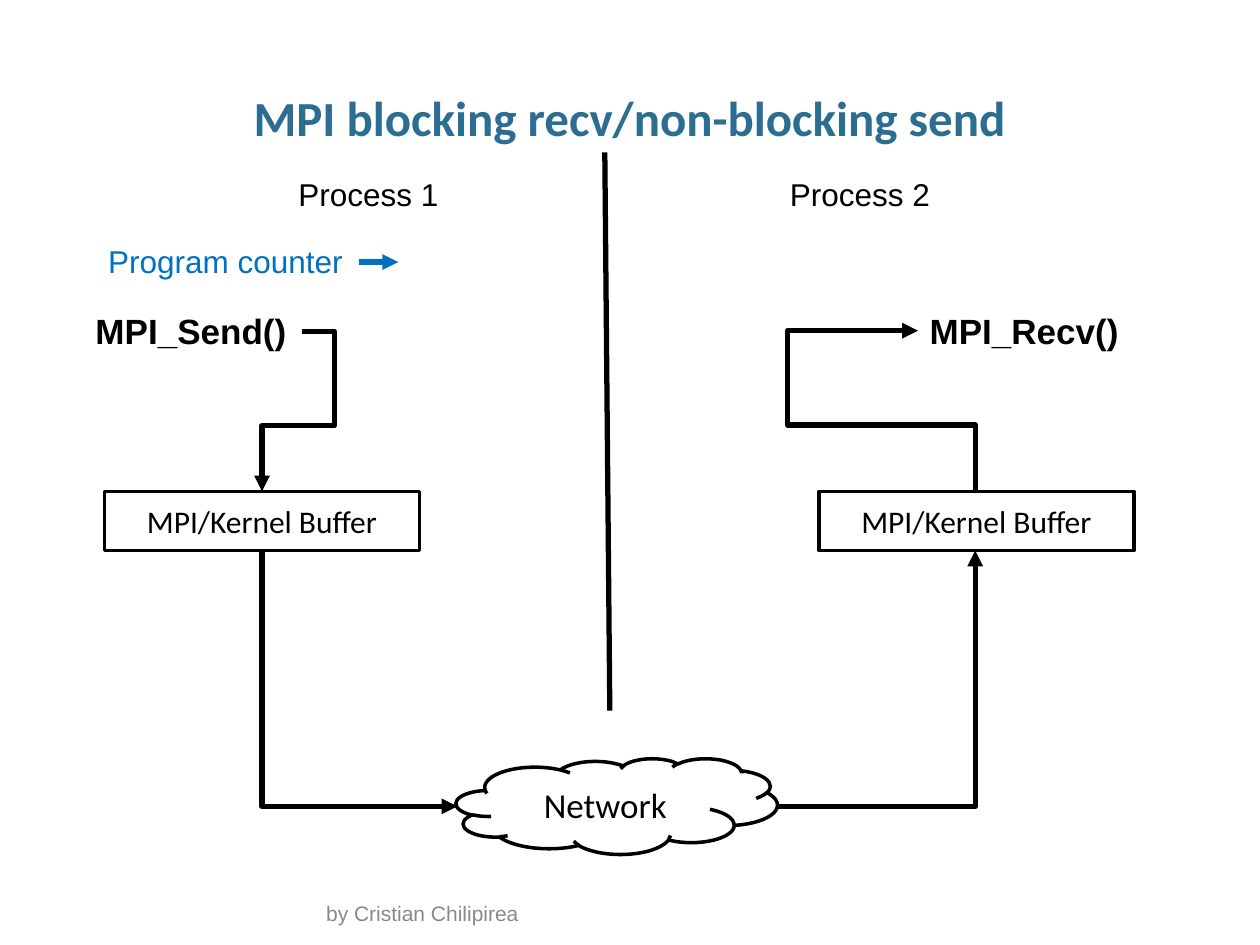
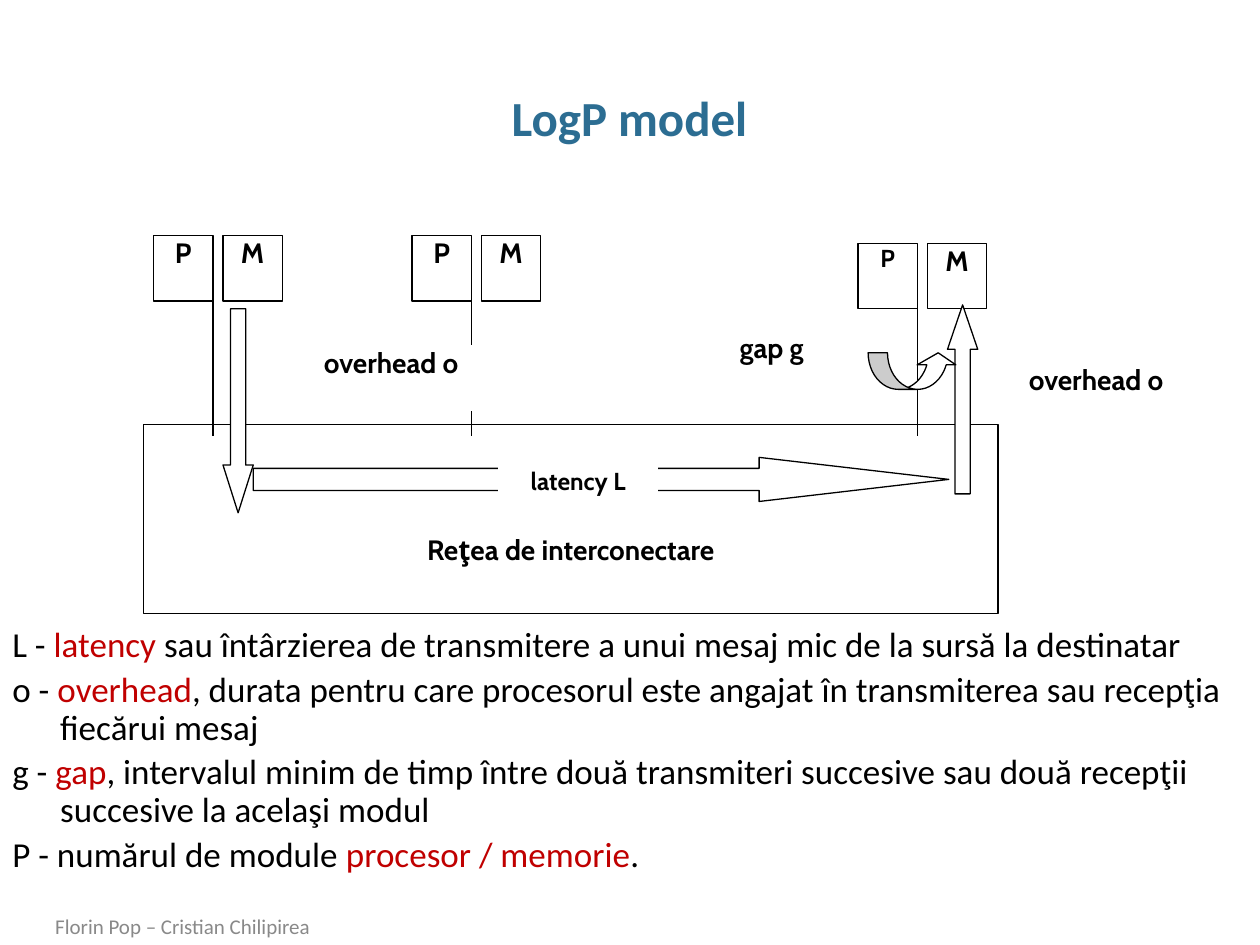
from dataclasses import dataclass

from lxml import etree
from pptx import Presentation
from pptx import util as u
from pptx.dml.color import RGBColor
from pptx.enum import shapes, text
from pptx.oxml import ns

Inches = u.Inches
Shape = shapes.MSO_SHAPE
Align = text.PP_ALIGN
Anchor = text.MSO_ANCHOR


@dataclass(frozen=True)
class Theme:
    ink: str = "000000"
    paper: str = "FFFFFF"
    title: str = "2C6D92"
    footer: str = "898989"
    counter: str = "0070C0"
    keyword: str = "C00000"
    body_font: str = "Calibri"
    label_font: str = "Arial"
    diagram_font: str = "Cabin"
    title_size: int = 28
    large: int = 20
    medium: int = 18
    diagram: int = 16
    small: int = 14
    footer_size: int = 12
    thick: float = 3
    border: float = 2
    thin: float = 0.75


THEME = Theme()


class Deck:
    def __init__(self, theme):
        self.theme = theme
        self.presentation = Presentation()
        self.presentation.slide_width = Inches(10)
        self.presentation.slide_height = Inches(7.5)
        self.slide = None

    def new_slide(self, title):
        self.slide = self.presentation.slides.add_slide(self.presentation.slide_layouts[6])
        theme = self.theme
        frame = self.text_box((0.34, 0.68, 9.31, 0.5), title, theme.title_size,
                              theme.body_font, theme.title, bold=True,
                              align=Align.CENTER, margins=(0, 0.05))
        frame.paragraphs[0].line_spacing = 0.95

    def style_runs(self, paragraph, size, font, color, bold=False):
        for run in paragraph.runs:
            run.font.size = u.Pt(size)
            run.font.name = font
            run.font.bold = bold
            run.font.color.rgb = RGBColor.from_string(color)

    def fill_text(self, frame, content, size, font, color, bold=False,
                  align=Align.LEFT, anchor=Anchor.TOP, wrap=True, margins=(0.1, 0.05)):
        """Write one paragraph; margins are (sides, top and bottom)."""
        frame.text = content
        frame.word_wrap = wrap
        frame.vertical_anchor = anchor
        frame.margin_left = frame.margin_right = Inches(margins[0])
        frame.margin_top = frame.margin_bottom = Inches(margins[1])
        frame.paragraphs[0].alignment = align
        self.style_runs(frame.paragraphs[0], size, font, color, bold)

    def text_box(self, box, content, size, font, color, **options):
        frame = self.slide.shapes.add_textbox(*map(Inches, box)).text_frame
        self.fill_text(frame, content, size, font, color, **options)
        return frame

    def label(self, box, content, size, color=THEME.ink, bold=False):
        self.text_box(box, content, size, self.theme.label_font, color, bold=bold, wrap=False)

    def footer(self, box, content, font):
        self.text_box(box, content, self.theme.footer_size, font, self.theme.footer,
                      anchor=Anchor.BOTTOM)

    def shape(self, kind, box, fill=THEME.paper, line=THEME.ink, width=THEME.thin,
              adjustments=()):
        shape = self.slide.shapes.add_shape(kind, *map(Inches, box))
        shape.shadow.inherit = False
        if fill:
            shape.fill.solid()
            shape.fill.fore_color.rgb = RGBColor.from_string(fill)
        else:
            shape.fill.background()
        shape.line.color.rgb = RGBColor.from_string(line)
        shape.line.width = u.Pt(width)
        for index, value in enumerate(adjustments):
            shape.adjustments[index] = value
        return shape

    def flow_node(self, kind, box, content, size):
        shape = self.shape(kind, box, fill=None, width=self.theme.border)
        self.fill_text(shape.text_frame, content, size, self.theme.body_font,
                       self.theme.ink, align=Align.CENTER, anchor=Anchor.MIDDLE)

    def diagram_box(self, box, content, size=THEME.diagram, line=THEME.ink,
                    align=Align.CENTER):
        shape = self.shape(Shape.RECTANGLE, box, line=line)
        self.fill_text(shape.text_frame, content, size, self.theme.diagram_font,
                       self.theme.ink, bold=True, align=align, margins=(0, 0))
        return shape

    def line(self, start, end, width=THEME.thin, color=THEME.ink, arrow=False,
             kind=shapes.MSO_CONNECTOR.STRAIGHT):
        connector = self.slide.shapes.add_connector(kind, *map(Inches, start + end))
        connector.line.color.rgb = RGBColor.from_string(color)
        connector.line.width = u.Pt(width)
        properties = connector._element.spPr
        if arrow:
            outline = properties.find(ns.qn("a:ln"))
            etree.SubElement(outline, ns.qn("a:tailEnd"), type="triangle")
        etree.SubElement(properties, ns.qn("a:effectLst"))
        return connector

    def bent_arrow(self, box, preset, flip, rotation=0, adjustments=()):
        """Elbow arrow given by its frame before rotation."""
        left, top, width, height = box
        connector = self.line((left, top), (left + width, top + height), self.theme.thick,
                              arrow=True, kind=shapes.MSO_CONNECTOR.ELBOW)
        properties = connector._element.spPr
        frame = properties.find(ns.qn("a:xfrm"))
        frame.set("rot", str(rotation * 60000))
        frame.set(flip, "1")
        geometry = properties.find(ns.qn("a:prstGeom"))
        geometry.set("prst", preset)
        guides = geometry.find(ns.qn("a:avLst"))
        for number, value in enumerate(adjustments, 1):
            etree.SubElement(guides, ns.qn("a:gd"), name=f"adj{number}",
                             fmla=f"val {round(value * 100000)}")

    def definitions(self, box, entries):
        """Hanging paragraphs made of (lead, keyword, rest)."""
        theme = self.theme
        frame = self.slide.shapes.add_textbox(*map(Inches, box)).text_frame
        frame.word_wrap = True
        for index, parts in enumerate(entries):
            paragraph = frame.add_paragraph() if index else frame.paragraphs[0]
            for part in parts:
                paragraph.add_run().text = part
            paragraph.line_spacing = 0.9
            paragraph.space_before = u.Pt(theme.large * 0.2)
            indent = paragraph._p.get_or_add_pPr()
            indent.set("marL", str(Inches(0.38)))
            indent.set("indent", str(Inches(-0.38)))
            self.style_runs(paragraph, theme.large, theme.body_font, theme.ink)
            paragraph.runs[1].font.color.rgb = RGBColor.from_string(theme.keyword)


def build_message_slide(deck):
    theme = deck.theme
    deck.new_slide("MPI blocking recv/non-blocking send")
    deck.footer((2.49, 7.16, 5.02, 0.24), "by Cristian Chilipirea", theme.label_font)
    deck.label((0.66, 2.41, 1.73, 0.44), "MPI_Send()", theme.large, bold=True)
    deck.label((7.28, 2.41, 1.71, 0.44), "MPI_Recv()", theme.large, bold=True)
    deck.line((4.84, 5.64), (4.8, 1.21), theme.thick)
    for number, left in enumerate((2.27, 6.17), 1):
        deck.label((left, 1.34, 1.32, 0.4), f"Process {number}", theme.medium)
    for left in (0.83, 6.5):
        deck.flow_node(Shape.RECTANGLE, (left, 3.9, 2.5, 0.47), "MPI/Kernel Buffer",
                       theme.medium)
    deck.flow_node(Shape.CLOUD, (3.62, 6.02, 2.55, 0.76), "Network", theme.large)

    deck.bent_arrow((2.08, 2.63, 0.32, 1.27), "bentConnector4", "flipH",
                    adjustments=(-0.79, 0.59))
    deck.bent_arrow((1.84, 4.61, 2.03, 1.55), "bentConnector2", "flipH", 270)
    deck.bent_arrow((6.16, 4.37, 1.58, 2.03), "bentConnector2", "flipV")
    deck.bent_arrow((6.88, 3.03, 1.27, 0.46), "bentConnector4", "flipV", 270, (0.41, 3.25))

    deck.line((2.85, 2.08), (3.16, 2.08), theme.thick, theme.counter, arrow=True)
    deck.label((0.76, 1.87, 2.08, 0.4), "Program counter", theme.medium, theme.counter)


def build_logp_slide(deck):
    theme = deck.theme
    deck.new_slide("LogP model")
    deck.footer((0.34, 7.22, 7.37, 0.28), "Florin Pop – Cristian Chilipirea", theme.body_font)

    modules = ((1.22, 1.87, theme.diagram), (3.27, 1.87, theme.diagram),
               (6.81, 1.93, theme.small))
    for left, top, processor_size in modules:
        deck.diagram_box((left, top, 0.47, 0.52), "P", processor_size)
        deck.diagram_box((left + 0.55, top, 0.47, 0.52), "M")
    network = deck.diagram_box((1.14, 3.37, 6.78, 1.5), "Reţea de interconectare")
    network.text_frame.margin_top = Inches(0.86)
    for left, top, _ in modules:
        deck.line((left + 0.47, top + 0.49), (left + 0.47, 3.46))

    deck.shape(Shape.DOWN_ARROW, (1.77, 2.45, 0.24, 1.62), adjustments=(0.5, 1.58))
    deck.shape(Shape.RIGHT_ARROW, (2.01, 3.63, 5.52, 0.35), adjustments=(0.5, 4.3))
    deck.shape(Shape.UP_ARROW, (7.52, 2.42, 0.24, 1.5), adjustments=(0.5, 1.47))
    for box in ((2.09, 2.74, 2.03, 0.52), (7.76, 2.88, 1.88, 0.38)):
        deck.diagram_box(box, "overhead o", line=theme.paper)
    deck.shape(Shape.CURVED_UP_ARROW, (6.89, 2.8, 0.71, 0.29),
               adjustments=(0.53, 1.06, 0.33))
    deck.diagram_box((5.87, 2.62, 0.87, 0.4), "gap g", line=theme.paper, align=Align.JUSTIFY)
    deck.diagram_box((3.96, 3.7, 1.26, 0.26), "latency L", theme.small, line=theme.paper)

    deck.definitions((0, 4.93, 10, 2.76), (
        ("L - ", "latency ",
         "sau întârzierea de transmitere a unui mesaj mic de la sursă la destinatar"),
        ("o - ", "overhead",
         ", durata pentru care procesorul este angajat în transmiterea sau recepţia "
         "fiecărui mesaj"),
        ("g - ", "gap",
         ", intervalul minim de timp între două transmiteri succesive sau două recepţii "
         "succesive la acelaşi modul"),
        ("P - numărul de module ", "procesor / memorie", "."),
    ))


def main():
    deck = Deck(THEME)
    build_message_slide(deck)
    build_logp_slide(deck)
    deck.presentation.save("out.pptx")


if __name__ == "__main__":
    main()
